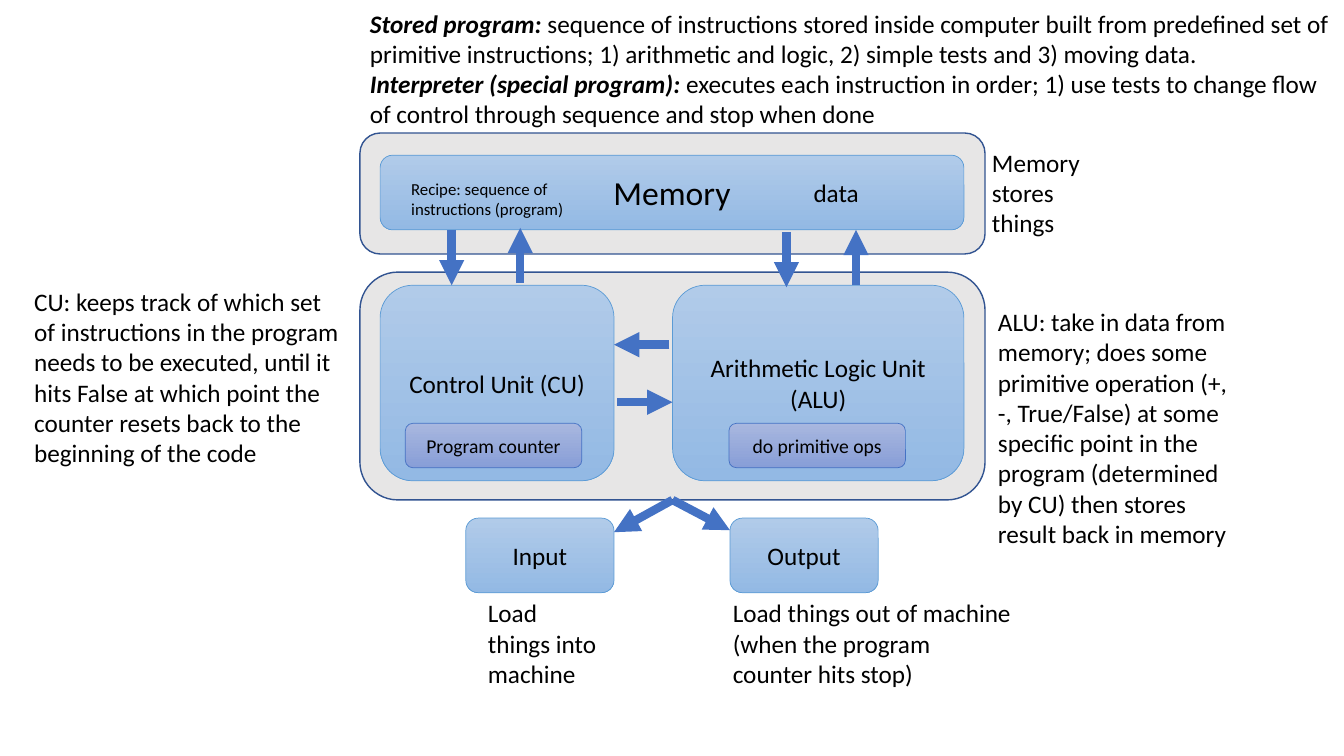
from pptx import Presentation
from pptx.dml.color import RGBColor
from pptx.enum.shapes import MSO_CONNECTOR, MSO_SHAPE
from pptx.enum.text import MSO_ANCHOR, MSO_AUTO_SIZE, PP_ALIGN
from pptx.oxml.ns import qn
from pptx.util import Inches, Pt
from lxml.etree import SubElement

BLUE = ("B1CBE9", "93B9E4", "5B9BD5")
VIOLET = ("A8B7DF", "889ED7", "4472C4")
ARROW = "4472C4"


def rgb(value):
    """Turn a hex string into a colour."""
    return RGBColor.from_string(value)


def style(p, size):
    """Set the font of a whole paragraph."""
    p.font.name = "Calibri"
    p.font.size = Pt(size)
    p.font.color.rgb = rgb("000000")


def add_rounded(s, box, line, width):
    """Add a rounded rectangle with an outline and no shadow."""
    sp = s.shapes.add_shape(MSO_SHAPE.ROUNDED_RECTANGLE, *map(Inches, box))
    sp.shadow.inherit = False
    sp.line.color.rgb = rgb(line)
    sp.line.width = Pt(width)
    return sp


def add_frame(s, box):
    """Add a grey frame that groups units."""
    sp = add_rounded(s, box, "325491", 1)
    sp.fill.solid()
    sp.fill.fore_color.rgb = rgb("E7E6E6")


def add_unit(s, box, text, size=18, colors=BLUE):
    """Add a labelled unit, shaded from top to bottom."""
    top, bottom, line = colors
    sp = add_rounded(s, box, line, 0.5)
    sp.fill.gradient()
    sp.fill.gradient_angle = 270
    for stop, color in zip(sp.fill.gradient_stops, (top, bottom)):
        stop.color.rgb = rgb(color)
    tf = sp.text_frame
    tf.vertical_anchor = MSO_ANCHOR.MIDDLE
    p = tf.paragraphs[0]
    p.text = text
    p.alignment = PP_ALIGN.CENTER
    style(p, size)


def add_arrow(s, x1, y1, x2, y2):
    """Add a thick arrow pointing at the second point."""
    c = s.shapes.add_connector(MSO_CONNECTOR.STRAIGHT, *map(Inches, (x1, y1, x2, y2)))
    c.line.color.rgb = rgb(ARROW)
    c.line.width = Pt(6)
    SubElement(c.line._get_or_add_ln(), qn("a:tailEnd"), type="triangle")
    SubElement(c._element.spPr, qn("a:effectLst"))


def add_note(s, box, *paragraphs, size=18):
    """Add a text box; each paragraph is a (bold italic term, text) pair."""
    tf = s.shapes.add_textbox(*map(Inches, box)).text_frame
    tf.word_wrap = True
    tf.auto_size = MSO_AUTO_SIZE.SHAPE_TO_FIT_TEXT
    for i, (term, text) in enumerate(paragraphs):
        p = tf.add_paragraph() if i else tf.paragraphs[0]
        style(p, size)
        if term:
            r = p.add_run()
            r.text = term + " "
            r.font.bold = r.font.italic = True
        p.add_run().text = text


def main():
    """Build the stored-program computer slide."""
    prs = Presentation()
    prs.slide_width, prs.slide_height = Inches(13.33), Inches(7.5)
    s = prs.slides.add_slide(prs.slide_layouts[6])

    add_frame(s, (3.57, 2.7, 6.2, 2.26))
    add_unit(s, (3.77, 2.83, 2.32, 1.94), "Control Unit (CU)")
    add_unit(s, (6.67, 2.83, 2.89, 1.94), "Arithmetic Logic Unit (ALU)")
    add_frame(s, (3.57, 1.32, 6.2, 1.2))
    add_unit(s, (3.77, 1.54, 5.79, 0.74), "Memory", 24)
    for x, text in ((4.62, "Input"), (7.24, "Output")):
        add_unit(s, (x, 5.14, 1.47, 0.74), text)

    for ends in (
        (5.16, 2.81, 5.16, 2.26),  # CU to memory
        (4.48, 2.28, 4.48, 2.83),  # memory to CU
        (8.49, 2.83, 8.49, 2.28),  # ALU to memory
        (7.8, 2.3, 7.8, 2.85),  # memory to ALU
        (6.12, 3.99, 6.67, 3.99),  # CU to ALU
        (6.64, 3.42, 6.09, 3.42),  # ALU to CU
        (6.67, 4.96, 6.09, 5.28),  # processor to input
        (6.67, 4.96, 7.24, 5.26),  # processor to output
    ):
        add_arrow(s, *ends)

    for x, text in ((4.02, "Program counter"), (7.23, "do primitive ops")):
        add_unit(s, (x, 4.2, 1.75, 0.44), text, 14, VIOLET)

    add_note(s, (3.98, 1.72, 1.8, 0.5),
             ("", "Recipe: sequence of instructions (program)"), size=12)
    for box, text in (
        ((7.97, 1.71, 1.38, 0.4), "data"),
        ((4.74, 5.88, 1.35, 1.01), "Load things into machine"),
        ((7.17, 5.88, 2.96, 1.01),
         "Load things out of machine (when the program counter hits stop)"),
        ((9.74, 1.41, 1.35, 1.01), "Memory stores things"),
        ((9.8, 2.99, 2.57, 2.52),
         "ALU: take in data from memory; does some primitive operation "
         "(+, -, True/False) at some specific point in the program "
         "(determined by CU) then stores result back in memory"),
        ((0.24, 2.79, 3.25, 1.92),
         "CU: keeps track of which set of instructions in the program needs "
         "to be executed, until it hits False at which point the counter "
         "resets back to the beginning of the code"),
    ):
        add_note(s, box, ("", text))
    add_note(
        s, (3.57, 0.03, 9.76, 1.31),
        ("Stored program:",
         "sequence of instructions stored inside computer built from "
         "predefined set of primitive instructions; 1) arithmetic and logic, "
         "2) simple tests and 3) moving data."),
        ("Interpreter (special program):",
         "executes each instruction in order; 1) use tests to change flow of "
         "control through sequence and stop when done"),
    )
    prs.save("out.pptx")


main()
